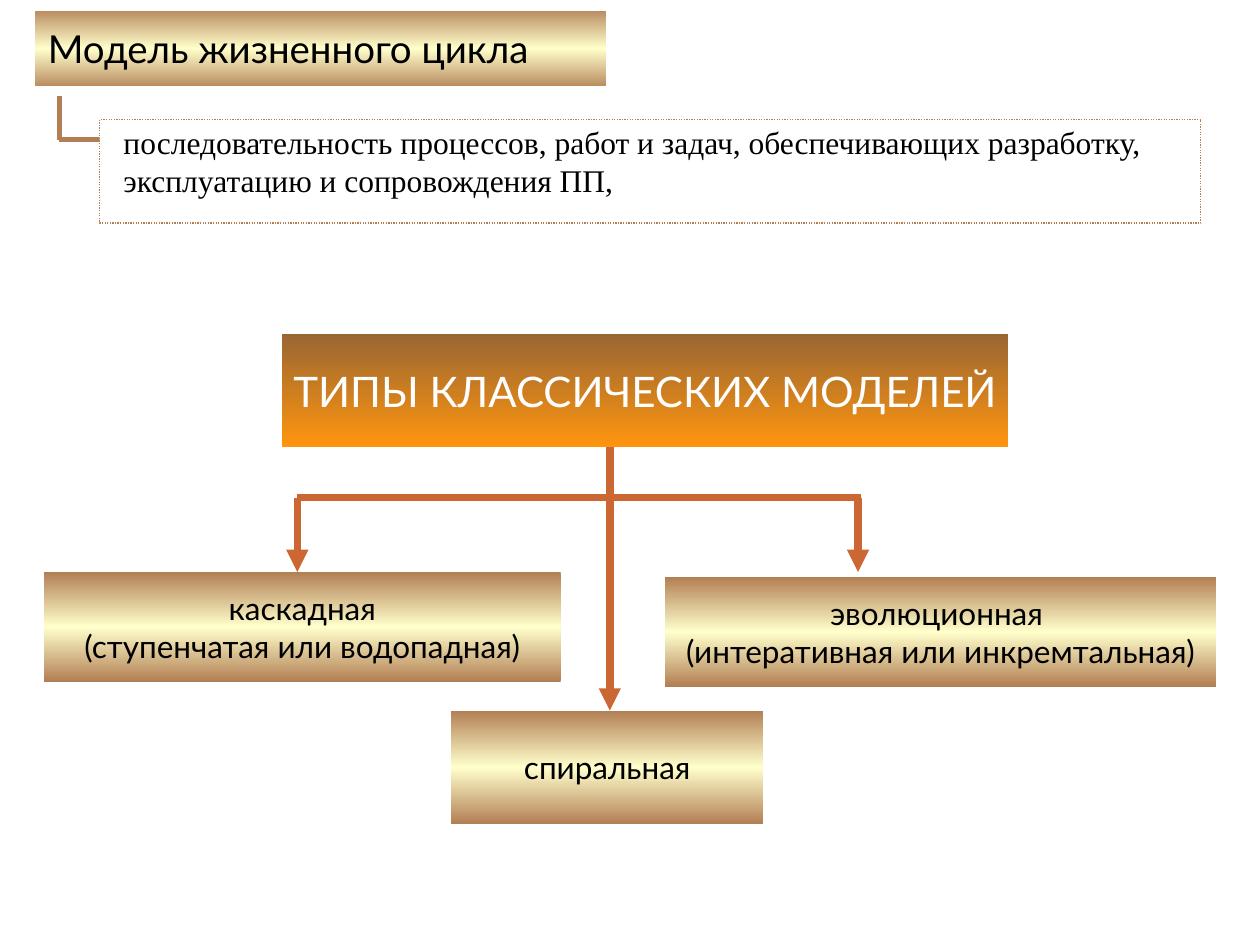
from lxml import etree
from pptx import Presentation
from pptx.dml.color import RGBColor
from pptx.enum.dml import MSO_LINE
from pptx.enum.shapes import MSO_CONNECTOR, MSO_SHAPE
from pptx.enum.text import MSO_ANCHOR, MSO_AUTO_SIZE, PP_ALIGN
from pptx.oxml.ns import qn
from pptx.util import Inches, Pt

RECTANGLE = MSO_SHAPE.RECTANGLE
STRAIGHT = MSO_CONNECTOR.STRAIGHT
DOTTED = MSO_LINE.ROUND_DOT
LEFT, CENTER = PP_ALIGN.LEFT, PP_ALIGN.CENTER
TOP, MIDDLE = MSO_ANCHOR.TOP, MSO_ANCHOR.MIDDLE
NO_AUTOFIT = MSO_AUTO_SIZE.NONE

SANS, SERIF = "Lato", "Times New Roman"
BLACK, WHITE = "000000", "FFFFFF"
BROWN, ARROW = "B27F54", "CC6633"
GOLD_BAND = [BROWN, "FFFFCC", BROWN]
ORANGE_FADE = ["996633", "FF950E"]

MODELS = [
    ((0.35, 4.54, 4.1, 0.87), ["каскадная", "(ступенчатая или водопадная)"]),
    ((5.28, 4.58, 4.37, 0.87), ["эволюционная ", "(интеративная или инкремтальная)"]),
    ((3.58, 5.64, 2.48, 0.9), ["спиральная"]),
]


def rgb(value):
    return RGBColor.from_string(value)


def fill_gradient(shape, colors):
    shape.fill.gradient()
    shape.fill.gradient_angle = 270
    stops = shape._element.spPr.find(qn("a:gradFill")).find(qn("a:gsLst"))
    for stop in list(stops):
        stops.remove(stop)
    for index, color in enumerate(colors):
        position = 100000 * index // (len(colors) - 1)
        stop = etree.SubElement(stops, qn("a:gs"), pos=str(position))
        etree.SubElement(stop, qn("a:srgbClr"), val=color)


def write_text(shape, lines, size, color=BLACK, font=SANS, align=CENTER,
               anchor=MIDDLE, margins=(0.14, 0.09, 0.14, 0.09), wrap=False):
    frame = shape.text_frame
    frame.text = "\n".join(lines)
    frame.auto_size = NO_AUTOFIT
    frame.word_wrap = wrap
    frame.vertical_anchor = anchor
    (frame.margin_left, frame.margin_top,
     frame.margin_right, frame.margin_bottom) = map(Inches, margins)
    for paragraph in frame.paragraphs:
        paragraph.alignment = align
        for run in paragraph.runs:
            run.font.name = font
            run.font.size = Pt(size)
            run.font.color.rgb = rgb(color)


def add_box(slide, bounds):
    box = slide.shapes.add_shape(RECTANGLE, *map(Inches, bounds))
    box.shadow.inherit = False
    box.line.fill.background()
    return box


def add_gradient_box(slide, bounds, colors, lines, size, color=BLACK):
    box = add_box(slide, bounds)
    fill_gradient(box, colors)
    write_text(box, lines, size, color, margins=(0.02, 0.09, 0.02, 0.09))


def add_line(slide, start, end, color, width, arrow=False):
    line = slide.shapes.add_connector(STRAIGHT, *map(Inches, start + end))
    line.line.color.rgb = rgb(color)
    line.line.width = Pt(width)
    if arrow:
        etree.SubElement(line.line._get_or_add_ln(), qn("a:tailEnd"), type="triangle")
    etree.SubElement(line._element.spPr, qn("a:effectLst"))


def format_title(slide, text):
    title = slide.shapes.title
    title.left, title.top, title.width, title.height = map(Inches, (0.24, 0.05, 4.61, 0.67))
    fill_gradient(title, GOLD_BAND)
    title.line.color.rgb = rgb(WHITE)
    title.line.width = Pt(5.67)
    write_text(title, [text], 22, align=LEFT, wrap=True)


def add_definition(slide, lines):
    add_line(slide, (0.47, 0.76), (0.47, 1.11), BROWN, 2.83)
    add_line(slide, (0.47, 1.11), (0.86, 1.11), BROWN, 2.83)
    box = add_box(slide, (0.79, 0.95, 8.74, 0.82))
    box.fill.solid()
    box.fill.fore_color.rgb = rgb(WHITE)
    box.line.color.rgb = rgb(BROWN)
    box.line.width = Pt(0.75)
    box.line.dash_style = DOTTED
    write_text(box, lines, 18, font=SERIF, align=LEFT, anchor=TOP,
               margins=(0.19, 0.03, 0, 0), wrap=True)


def add_branches(slide):
    add_line(slide, (4.84, 2.89), (4.84, 5.64), ARROW, 4.25, arrow=True)
    add_line(slide, (2.36, 3.95), (6.83, 3.95), ARROW, 4.25)
    for x in (2.36, 6.81):
        add_line(slide, (x, 3.95), (x, 4.54), ARROW, 4.25, arrow=True)


def main():
    presentation = Presentation()
    presentation.slide_width = Inches(10)
    presentation.slide_height = Inches(7.5)
    slide = presentation.slides.add_slide(presentation.slide_layouts[5])

    format_title(slide, "Модель жизненного цикла")
    add_definition(slide, [
        "последовательность процессов, работ и задач, обеспечивающих разработку,",
        "эксплуатацию и сопровождения ПП,",
    ])
    add_branches(slide)
    add_gradient_box(slide, (2.24, 2.65, 5.76, 0.9), ORANGE_FADE,
                     ["ТИПЫ КЛАССИЧЕСКИХ МОДЕЛЕЙ"], 24, WHITE)
    for bounds, lines in MODELS:
        add_gradient_box(slide, bounds, GOLD_BAND, lines, 18)

    presentation.save("out.pptx")


if __name__ == "__main__":
    main()
